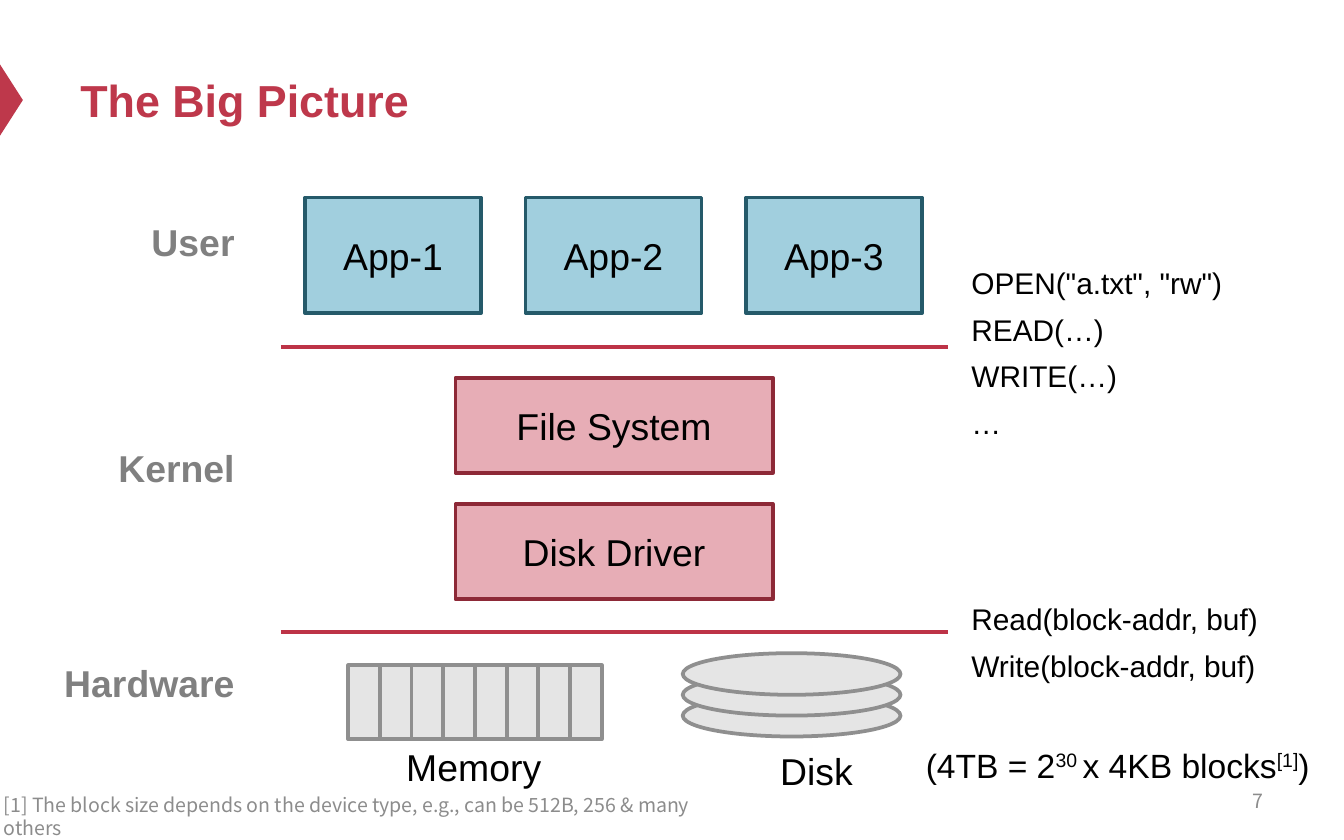
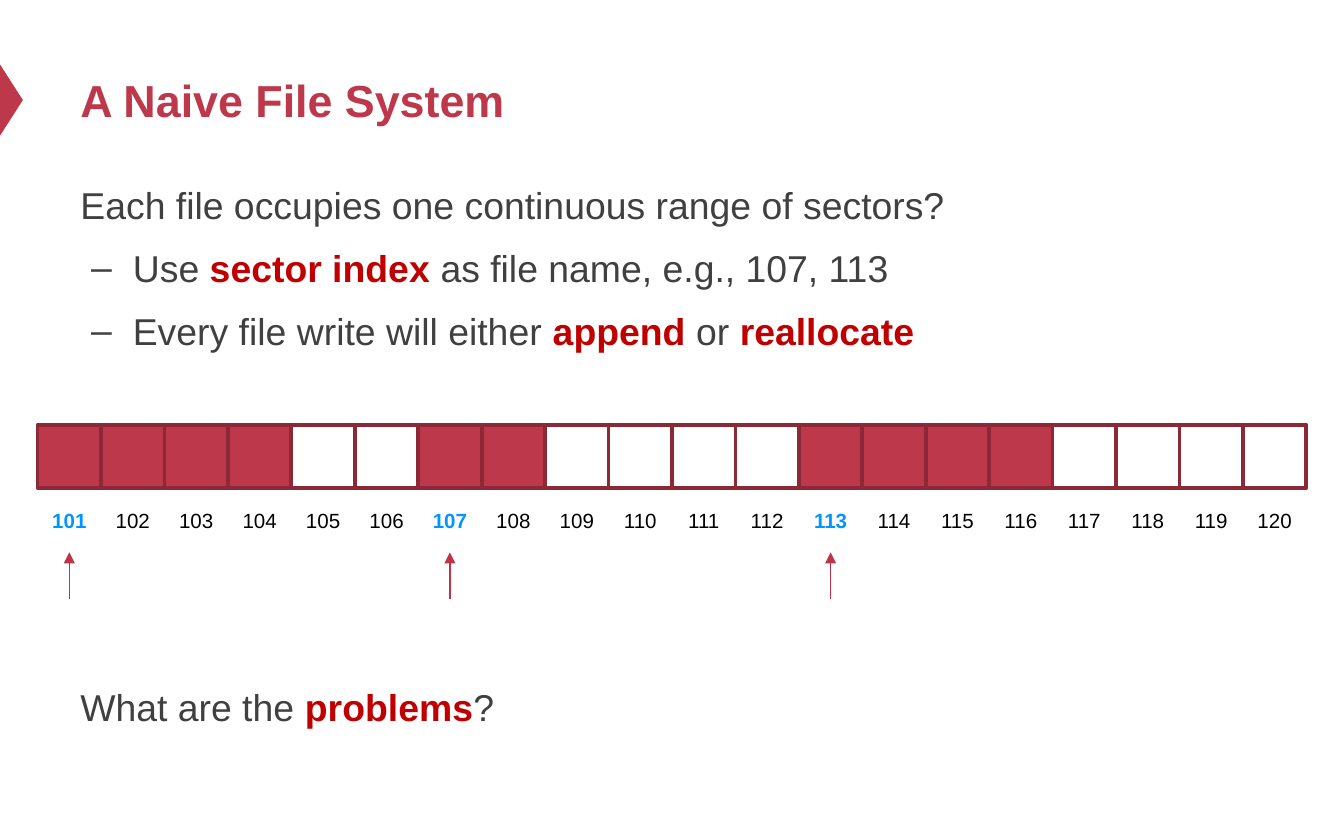
import dataclasses

import lxml.etree
import pptx
import pptx.dml.color
import pptx.enum.shapes
import pptx.enum.text
import pptx.oxml.ns
import pptx.util


@dataclasses.dataclass(frozen=True)
class Theme:
    font: str = "Arial"
    note_font: str = "Noto Sans CJK SC"
    red: str = "BE384B"
    rule_red: str = "BD3347"
    dark_red: str = "8D2937"
    pink: str = "E7ADB6"
    blue: str = "A1CFDE"
    dark_blue: str = "255A6A"
    light_gray: str = "E5E5E5"
    mid_gray: str = "8F8F8F"
    label_gray: str = "808080"
    note_gray: str = "8C8C8C"
    body_gray: str = "404040"
    strong_red: str = "C00000"
    index_blue: str = "0096FF"
    black: str = "000000"
    title_size: float = 24
    body_size: float = 20
    capacity_size: float = 18
    call_size: float = 16
    sector_size: float = 11
    note_size: float = 10.5
    border: float = 2


theme = Theme()
shapes = pptx.enum.shapes.MSO_SHAPE
align = pptx.enum.text.PP_ALIGN
middle = pptx.enum.text.MSO_ANCHOR.MIDDLE
qn = pptx.oxml.ns.qn
rgb = pptx.dml.color.RGBColor.from_string

deck = pptx.Presentation()
deck.slide_width = pptx.util.Inches(10)
deck.slide_height = pptx.util.Inches(6.25)

# Grid: 100 columns by 100 rows over the whole slide
column = deck.slide_width / 100
row = deck.slide_height / 100


def add_box(page, area, lines=(), kind=None, fill=None, border=None, size=theme.body_size,
            color=theme.black, bold=False, font=theme.font, side=align.LEFT,
            anchor=None, wrap=True, spacing=None):
    """Add a shape, or a text box if no kind is given; a line is a string or (text, style) spans."""
    left, top, width, height = area
    frame_area = [round(n) for n in (left * column, top * row, width * column, height * row)]
    if kind is None:
        box = page.shapes.add_textbox(*frame_area)
    else:
        box = page.shapes.add_shape(kind, *frame_area)
        box.shadow.inherit = False
        if fill:
            box.fill.solid()
            box.fill.fore_color.rgb = rgb(fill)
        else:
            box.fill.background()
        if border:
            box.line.color.rgb = rgb(border)
            box.line.width = pptx.util.Pt(theme.border)
        else:
            box.line.fill.background()
    frame = box.text_frame
    frame.word_wrap = wrap
    if not wrap:
        frame.auto_size = pptx.enum.text.MSO_AUTO_SIZE.SHAPE_TO_FIT_TEXT
    if anchor is not None:
        frame.vertical_anchor = anchor
    for number, line in enumerate(lines):
        para = frame.add_paragraph() if number else frame.paragraphs[0]
        para.alignment = side
        if spacing:
            para.line_spacing = spacing
        for text, style in [(line, "")] if isinstance(line, str) else line:
            span = para.add_run()
            span.text = text
            span.font.name = font
            span.font.size = pptx.util.Pt(size)
            span.font.bold = bold or style == "strong"
            span.font.color.rgb = rgb(theme.strong_red if style == "strong" else color)
            if style == "raised":
                span.font._element.set("baseline", "30000")
    return box


def add_line(page, start, end, weight):
    line = page.shapes.add_connector(
        pptx.enum.shapes.MSO_CONNECTOR.STRAIGHT,
        round(start[0] * column), round(start[1] * row),
        round(end[0] * column), round(end[1] * row))
    line.line.color.rgb = rgb(theme.rule_red)
    line.line.width = pptx.util.Pt(weight)
    lxml.etree.SubElement(line._element.spPr, qn("a:effectLst"))
    return line


# Shared marker and title
pages = []
for title in ("The Big Picture", "A Naive File System"):
    page = deck.slides.add_slide(deck.slide_layouts[6])
    marker = add_box(page, (-1.8, 10.56, 5.3, 2.72), kind=shapes.ISOSCELES_TRIANGLE,
                     fill=theme.red)
    marker.rotation = 90
    add_box(page, (5, 4, 90, 15.68), [title], size=theme.title_size,
            color=theme.red, bold=True, anchor=middle)
    pages.append(page)
layers_page, sectors_page = pages

# Layer boundaries and names
for boundary in (41.28, 75.2):
    add_line(layers_page, (20.9, boundary), (70.5, boundary), 2.25)
for name, top, width in (("User", 25.28, 8.3), ("Kernel", 52.16, 10.7), ("Hardware", 77.76, 14.8)):
    add_box(layers_page, (18.45 - width, top, width, 7.04), [name], color=theme.label_gray,
            bold=True, side=align.RIGHT, wrap=False)

# Applications and kernel components
for index in range(3):
    add_box(layers_page, (22.7 + 16.4 * index, 23.52, 13.1, 13.76), [f"App-{index + 1}"],
            kind=shapes.RECTANGLE, fill=theme.blue, border=theme.dark_blue,
            side=align.CENTER, anchor=middle)
for name, top in (("File System", 44.96), ("Disk Driver", 60)):
    add_box(layers_page, (33.9, top, 23.6, 11.36), [name], kind=shapes.RECTANGLE,
            fill=theme.pink, border=theme.dark_red, side=align.CENTER, anchor=middle)

# Memory cells and disk platters
for cell in range(8):
    add_box(layers_page, (25.9 + 2.36 * cell, 79.2, 2.36, 8.8), kind=shapes.RECTANGLE,
            fill=theme.light_gray, border=theme.mid_gray)
for platter in range(3):
    add_box(layers_page, (50.8, 82.72 - 2.48 * platter, 16.2, 4.96), kind=shapes.OVAL,
            fill=theme.light_gray, border=theme.mid_gray)
for name, left, top, width in (("Memory", 29.2, 87.84, 12.1), ("Disk", 57, 88.32, 7.5)):
    add_box(layers_page, (left, top, width, 7.04), [name], side=align.CENTER, wrap=False)

# Interfaces between the layers
add_box(layers_page, (71.3, 29.44, 20.9, 23.36),
        ['OPEN("a.txt", "rw")', "READ(…)", "WRITE(…)", "…"],
        size=theme.call_size, wrap=False, spacing=1.3)
add_box(layers_page, (71.3, 69.44, 23.6, 12.16),
        ["Read(block-addr, buf)", "Write(block-addr, buf)"],
        size=theme.call_size, wrap=False, spacing=1.3)
add_box(layers_page, (67.9, 87.84, 31.6, 6.4),
        [[("(4TB = 2", ""), ("30 ", "raised"), ("x 4KB blocks", ""), ("[1]", "raised"), (")", "")]],
        size=theme.capacity_size, wrap=False)

# Slide number and footnote
for text, area, side in (
        ("7", (71.7, 92.64, 23.3, 5.28), align.RIGHT),
        ("[1] The block size depends on the device type, e.g., can be 512B, 256 & many others",
         (-0.7, 94.56, 56.2, 5.28), align.LEFT)):
    add_box(layers_page, area, [text], size=theme.note_size, color=theme.note_gray,
            font=theme.note_font, side=side, anchor=middle)

# Claim, its two consequences and the question
claim = add_box(sectors_page, (5, 19.84, 90, 24), [
    "Each file occupies one continuous range of sectors?",
    [("Use ", ""), ("sector index ", "strong"), ("as file name, e.g., 107, 113", "")],
    [("Every file write will either ", ""), ("append ", "strong"), ("or ", ""),
     ("reallocate", "strong")],
], color=theme.body_gray, spacing=1.2)
for para in claim.text_frame.paragraphs[1:]:
    para.level = 1
    para.space_before = pptx.util.Pt(5)
    properties = para._p.get_or_add_pPr()
    properties.set("marL", str(pptx.util.Inches(0.39)))
    properties.set("indent", str(pptx.util.Inches(-0.31)))
    lxml.etree.SubElement(properties, qn("a:buFont")).set("typeface", theme.font)
    lxml.etree.SubElement(properties, qn("a:buChar")).set("char", "–")
add_box(sectors_page, (5, 79.6, 90, 9.6),
        [[("What are the ", ""), ("problems", "strong"), ("?", "")]],
        color=theme.body_gray, spacing=1.2)

# Row of sectors: each file's first sector is highlighted and pointed at
file_lengths = {101: 4, 107: 2, 113: 4}
used = {first + offset for first, length in file_lengths.items() for offset in range(length)}
sector_width = 4.72
for index, sector in enumerate(range(101, 121)):
    left = 2.8 + sector_width * index
    is_first = sector in file_lengths
    add_box(sectors_page, (left, 50.56, sector_width, 7.52), kind=shapes.RECTANGLE,
            fill=theme.red if sector in used else None, border=theme.dark_red)
    label = add_box(sectors_page, (left, 58.24, sector_width, 7.52), [str(sector)],
                    size=theme.sector_size, color=theme.index_blue if is_first else theme.black,
                    bold=is_first, side=align.CENTER, anchor=middle)
    if is_first:
        center = left + sector_width / 2
        arrow = add_line(sectors_page, (center, 71.36), (center, 65.76), 0.75)
        arrow.end_connect(label, 2)
        lxml.etree.SubElement(arrow.line._get_or_add_ln(), qn("a:tailEnd")).set("type", "triangle")

deck.save("out.pptx")
